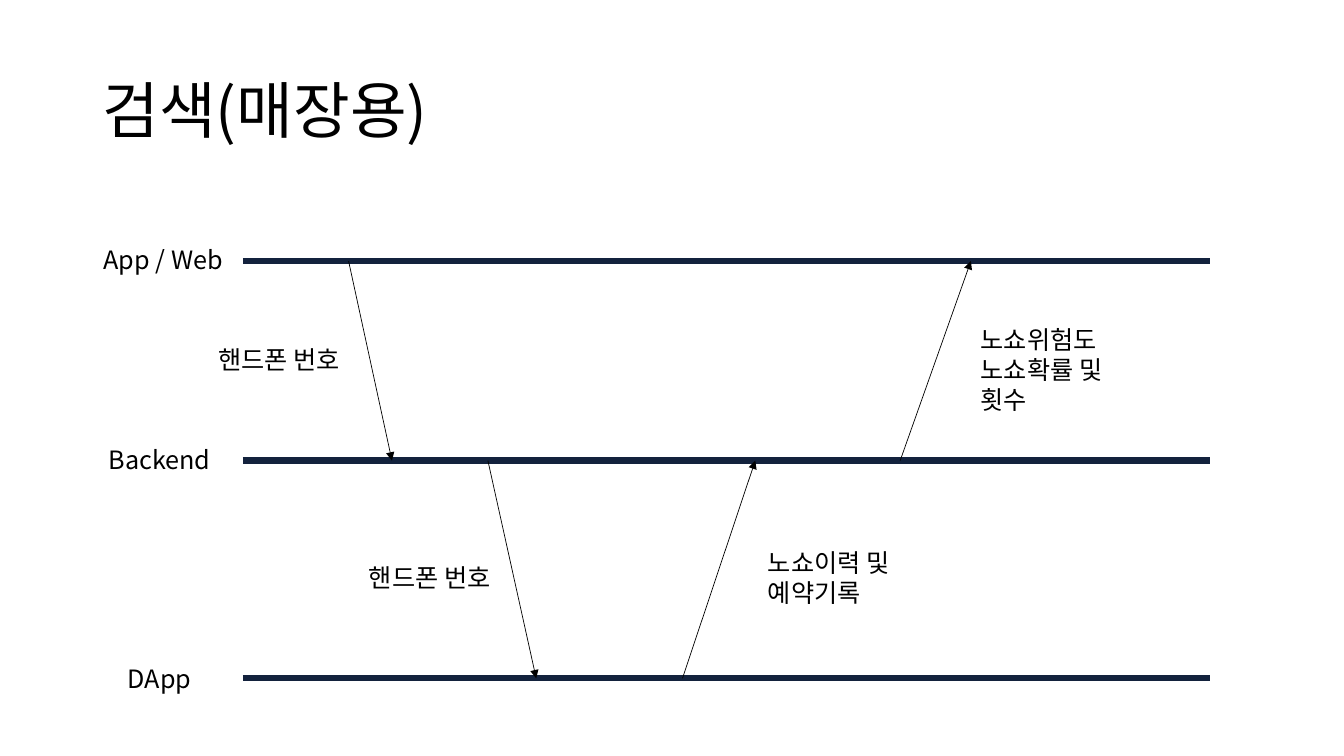
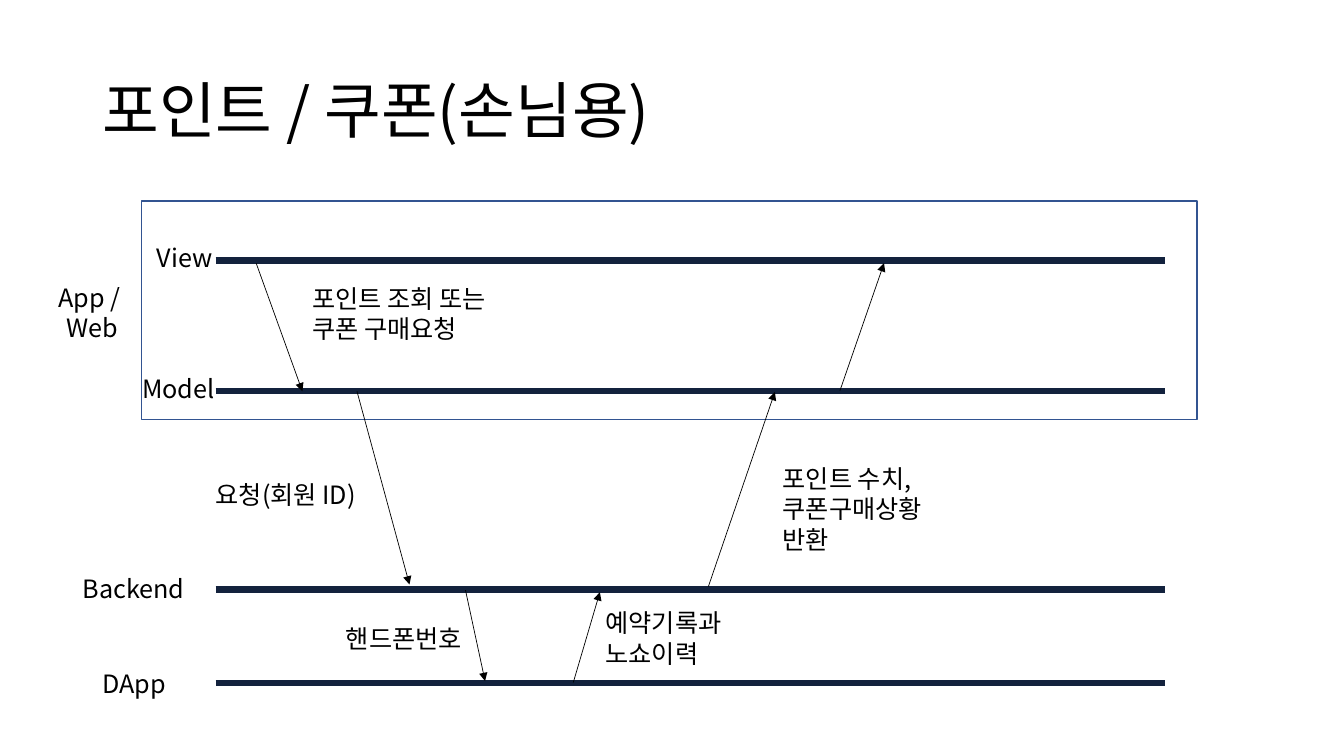
import pptx
import pptx.util
import pptx.dml.color
import pptx.enum.text
import pptx.enum.shapes
import lxml.etree
from pptx.oxml.ns import qn

Pt = pptx.util.Pt
TEXT = pptx.enum.text
SHAPES = pptx.enum.shapes

FONT = "Noto Sans CJK KR"
BLACK, NAVY, BLUE = "000000", "13223D", "325491"
TITLE_BOX = (66, 29, 828, 104.5)
LABEL_HEIGHT = 49
LABEL = {"vertical_anchor": TEXT.MSO_ANCHOR.MIDDLE}
NOTE = {"auto_size": TEXT.MSO_AUTO_SIZE.SHAPE_TO_FIT_TEXT}
TITLE = {"vertical_anchor": TEXT.MSO_ANCHOR.MIDDLE,
         "auto_size": TEXT.MSO_AUTO_SIZE.NONE}
LEFT = {"alignment": TEXT.PP_ALIGN.LEFT}
CENTER = {"alignment": TEXT.PP_ALIGN.CENTER}
TITLE_PARAGRAPH = {**LEFT, "line_spacing": 0.9}


def color(value):
    return pptx.dml.color.RGBColor.from_string(value)


def set_format(target, values):
    for name, value in values.items():
        setattr(target, name, value)


def write(tf, text, size, frame, paragraph):
    set_format(tf, {"word_wrap": True, **frame})
    for i, line in enumerate(text.split("\n")):
        p = tf.add_paragraph() if i else tf.paragraphs[0]
        set_format(p, paragraph)
        r = p.add_run()
        r.text = line
        set_format(r.font, {"name": FONT, "size": Pt(size)})
        r.font.color.rgb = color(BLACK)
        ea = lxml.etree.SubElement(r._r.get_or_add_rPr(), qn("a:ea"))
        ea.set("typeface", FONT)


def add_text(s, box, text, frame, paragraph):
    sp = s.shapes.add_textbox(*map(Pt, box))
    write(sp.text_frame, text, 18, frame, paragraph)


def add_title(s, text, box):
    sp = s.shapes.title
    set_format(sp, dict(zip(("left", "top", "width", "height"), map(Pt, box))))
    write(sp.text_frame, text, 44, TITLE, TITLE_PARAGRAPH)


def add_line(s, start, end, line_color, width, arrow=False):
    line = s.shapes.add_connector(
        SHAPES.MSO_CONNECTOR.STRAIGHT, *map(Pt, (*start, *end)))
    line.line.color.rgb = color(line_color)
    line.line.width = Pt(width)
    if arrow:
        tail = lxml.etree.SubElement(line.line._get_or_add_ln(), qn("a:tailEnd"))
        tail.set("type", "triangle")
    lxml.etree.SubElement(line._element.spPr, qn("a:effectLst"))


def add_lanes(s, box, lanes):
    left, top, width = box
    for name, y, label_x, label_dy, label_width in lanes:
        add_line(s, (left, top + y), (left + width, top + y), NAVY, 4.5)
        label_top = top + y + label_dy - LABEL_HEIGHT / 2
        add_text(s, (left + label_x, label_top, label_width, LABEL_HEIGHT),
                 name, LABEL, CENTER)


def add_messages(s, box, lanes, arrows, notes):
    left, top, _ = box
    level = {lane[0]: top + lane[1] for lane in lanes}
    for source, x1, dy1, target, x2, dy2 in arrows:
        add_line(s, (left + x1, level[source] + dy1),
                 (left + x2, level[target] + dy2), BLACK, 0.5, arrow=True)
    for text, x, y, width, height in notes:
        add_text(s, (left + x, top + y, width, height), text, NOTE, LEFT)


def add_group(s, box, text):
    left, top, _ = box
    frame = s.shapes.add_shape(
        SHAPES.MSO_SHAPE.RECTANGLE,
        *map(Pt, (left - 53, top - 42.5, 754, 156)))
    frame.shadow.inherit = False
    frame.fill.background()
    frame.line.color.rgb = color(BLUE)
    frame.line.width = Pt(1)
    add_text(s, (left - 146, top + 12.5, 116, LABEL_HEIGHT), text, LABEL, CENTER)


def add_sequence_slide(prs, title, box, lanes, arrows, notes, group=None):
    s = prs.slides.add_slide(prs.slide_layouts[5])
    add_title(s, title, TITLE_BOX)
    if group:
        add_group(s, box, group)
    add_lanes(s, box, lanes)
    add_messages(s, box, lanes, arrows, notes)


SEARCH_LANES = [
    ("App / Web", 0, -115, -1.5, 116),
    ("Backend", 142.5, -117.5, -0.5, 116),
    ("DApp", 298, -117.5, 0, 116),
]
SEARCH_ARROWS = [
    ("App / Web", 75.5, 0, "Backend", 106.5, 0),
    ("Backend", 175, 0, "DApp", 209.5, 0),
    ("DApp", 314, 0, "Backend", 366, 0),
    ("Backend", 469.5, 0, "App / Web", 520, 0),
]
SEARCH_NOTES = [
    ("핸드폰 번호", -24.5, 56, 116, 29),
    ("핸드폰 번호", 83, 211.5, 116, 29),
    ("노쇼이력 및 예약기록", 368, 201, 116, 51),
    ("노쇼위험도 노쇼확률 및 횟수", 520, 41.5, 116, 73),
]

POINT_LANES = [
    ("View", 0, -53, -2, 62),
    ("Model", 93.5, -61, -2, 69),
    ("Backend", 235, -116.5, -0.5, 116),
    ("DApp", 302, -116, 0, 116),
]
POINT_ARROWS = [
    ("View", 29, 2, "Model", 62, 0),
    ("Model", 101, 0, "Backend", 138.5, -3.5),
    ("Backend", 178.5, 0.5, "DApp", 192.5, -1.5),
    ("DApp", 255.5, -0.5, "Backend", 274.5, 2),
    ("Backend", 352, -2, "Model", 399.5, 0.5),
    ("Model", 446, -0.5, "View", 477.5, 2),
]
POINT_NOTES = [
    ("포인트 조회 또는 쿠폰 구매요청", 62, 12.5, 155, 51),
    ("요청(회원 ID)", -7, 153, 127, 29),
    ("핸드폰번호", 86, 255.5, 104.5, 29),
    ("예약기록과 노쇼이력", 271.5, 244.5, 104.5, 51),
    ("포인트 수치, 쿠폰구매상황 반환", 398, 141.5, 127, 73),
]

prs = pptx.Presentation()
prs.slide_width, prs.slide_height = Pt(960), Pt(540)
add_sequence_slide(prs, "검색(매장용)", (173.5, 186.5, 690.5),
                   SEARCH_LANES, SEARCH_ARROWS, SEARCH_NOTES)
add_sequence_slide(prs, "포인트 / 쿠폰(손님용)", (154, 186, 678),
                   POINT_LANES, POINT_ARROWS, POINT_NOTES, "App / \nWeb")
prs.save("out.pptx")
